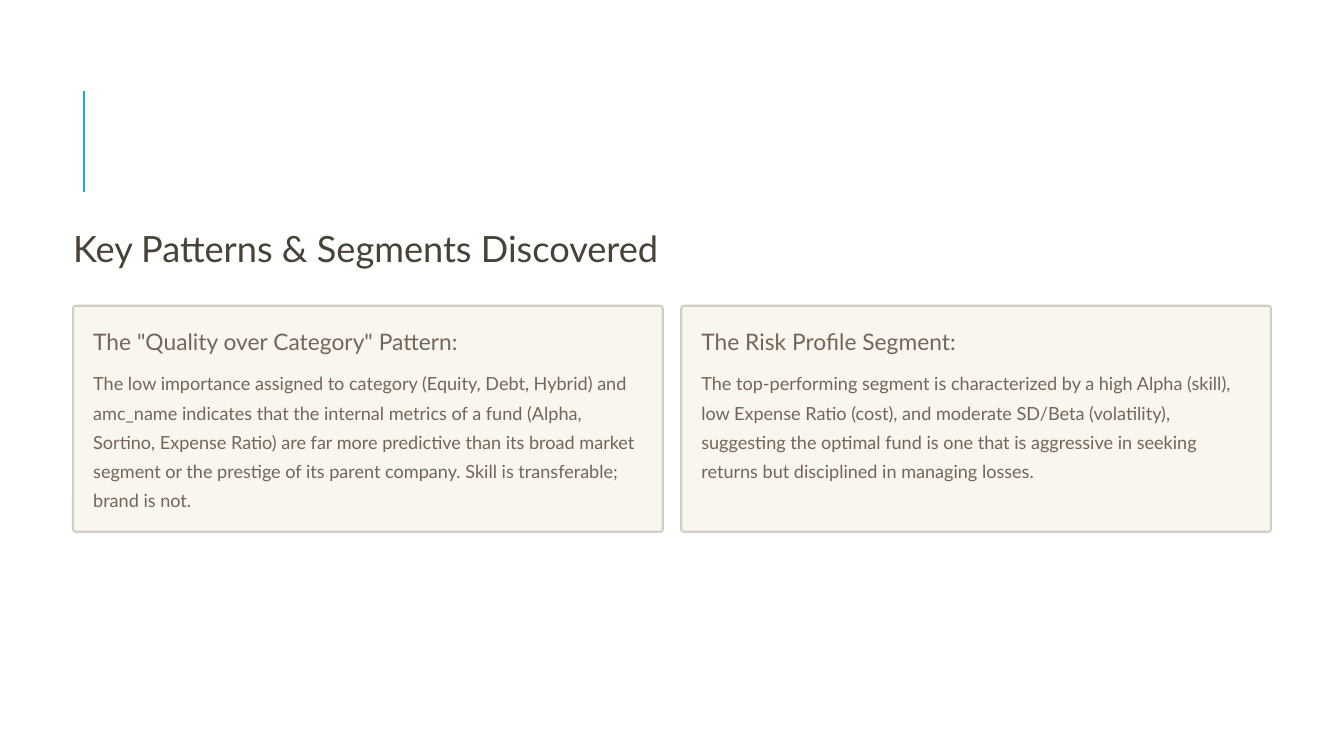
from lxml.etree import SubElement
from pptx import Presentation
from pptx.dml.color import RGBColor
from pptx.enum.shapes import MSO_CONNECTOR, MSO_SHAPE
from pptx.oxml.ns import qn
from pptx.util import Inches, Pt

SLIDE_WIDTH, SLIDE_HEIGHT = 16, 9
MARGIN, GUTTER = 0.87, 0.22
CARD_WIDTH = (SLIDE_WIDTH - 2 * MARGIN - GUTTER) / 2
CARD_TOP, CARD_HEIGHT = 3.64, 2.69
PADDING = 0.24

TITLE = {"size": 31, "color": "484237", "leading": 39, "wrap": False}
HEADING = {"size": 19.5, "color": "746558", "leading": 24, "wrap": False}
BODY = {"size": 15.5, "color": "746558", "leading": 25, "wrap": True}

CARDS = [
    (
        'The "Quality over Category" Pattern:',
        "The low importance assigned to category (Equity, Debt, Hybrid) and "
        "amc_name indicates that the internal metrics of a fund (Alpha, "
        "Sortino, Expense Ratio) are far more predictive than its broad market "
        "segment or the prestige of its parent company. Skill is transferable; "
        "brand is not.",
    ),
    (
        "The Risk Profile Segment:",
        "The top-performing segment is characterized by a high Alpha (skill), "
        "low Expense Ratio (cost), and moderate SD/Beta (volatility), "
        "suggesting the optimal fund is one that is aggressive in seeking "
        "returns but disciplined in managing losses.",
    ),
]


def color(value):
    """Turn a hex string into a colour."""
    return RGBColor.from_string(value)


def set_all(target, values):
    """Set each attribute of the target from a dict."""
    for name, value in values.items():
        setattr(target, name, value)


def add_text(page, text, area, style):
    """Add a text box without insets in the given style."""
    box = page.shapes.add_textbox(*map(Inches, area))
    frame = box.text_frame
    set_all(frame, {
        "margin_left": 0, "margin_right": 0,
        "margin_top": 0, "margin_bottom": 0,
        "word_wrap": style["wrap"],
    })
    para = frame.paragraphs[0]
    para.line_spacing = Pt(style["leading"])
    span = para.add_run()
    span.text = text
    set_all(span.font, {"name": "Lato", "size": Pt(style["size"])})
    span.font.color.rgb = color(style["color"])


def add_accent(page):
    """Add the vertical accent line above the title."""
    line = page.shapes.add_connector(
        MSO_CONNECTOR.STRAIGHT, Inches(1), Inches(2.28), Inches(1), Inches(1.08))
    line.line.color.rgb = color("1CADE4")
    line.line.width = Pt(1.5)
    SubElement(line.element.spPr, qn("a:effectLst"))


def add_card(page, column, heading, body):
    """Add a rounded card with its heading and body in a column."""
    left = MARGIN + column * (CARD_WIDTH + GUTTER)
    card = page.shapes.add_shape(
        MSO_SHAPE.ROUNDED_RECTANGLE,
        *map(Inches, (left, CARD_TOP, CARD_WIDTH, CARD_HEIGHT)))
    card.adjustments[0] = 0.012
    card.shadow.inherit = False
    card.fill.solid()
    card.fill.fore_color.rgb = color("F9F6F0")
    card.line.color.rgb = color("D4CEC3")
    card.line.width = Pt(1.8)
    text_left, text_width = left + PADDING, CARD_WIDTH - 2 * PADDING
    add_text(page, heading, (text_left, CARD_TOP + 0.25, text_width, 0.34), HEADING)
    add_text(page, body, (text_left, CARD_TOP + 0.71, text_width, 1.74), BODY)


def main():
    """Build the slide and save it."""
    deck = Presentation()
    set_all(deck, {"slide_width": Inches(SLIDE_WIDTH),
                   "slide_height": Inches(SLIDE_HEIGHT)})
    page = deck.slides.add_slide(deck.slide_layouts[6])
    add_accent(page)
    add_text(page, "Key Patterns & Segments Discovered", (MARGIN, 2.67, 7.85, 0.54), TITLE)
    for column, (heading, body) in enumerate(CARDS):
        add_card(page, column, heading, body)
    deck.save("out.pptx")


if __name__ == "__main__":
    main()
